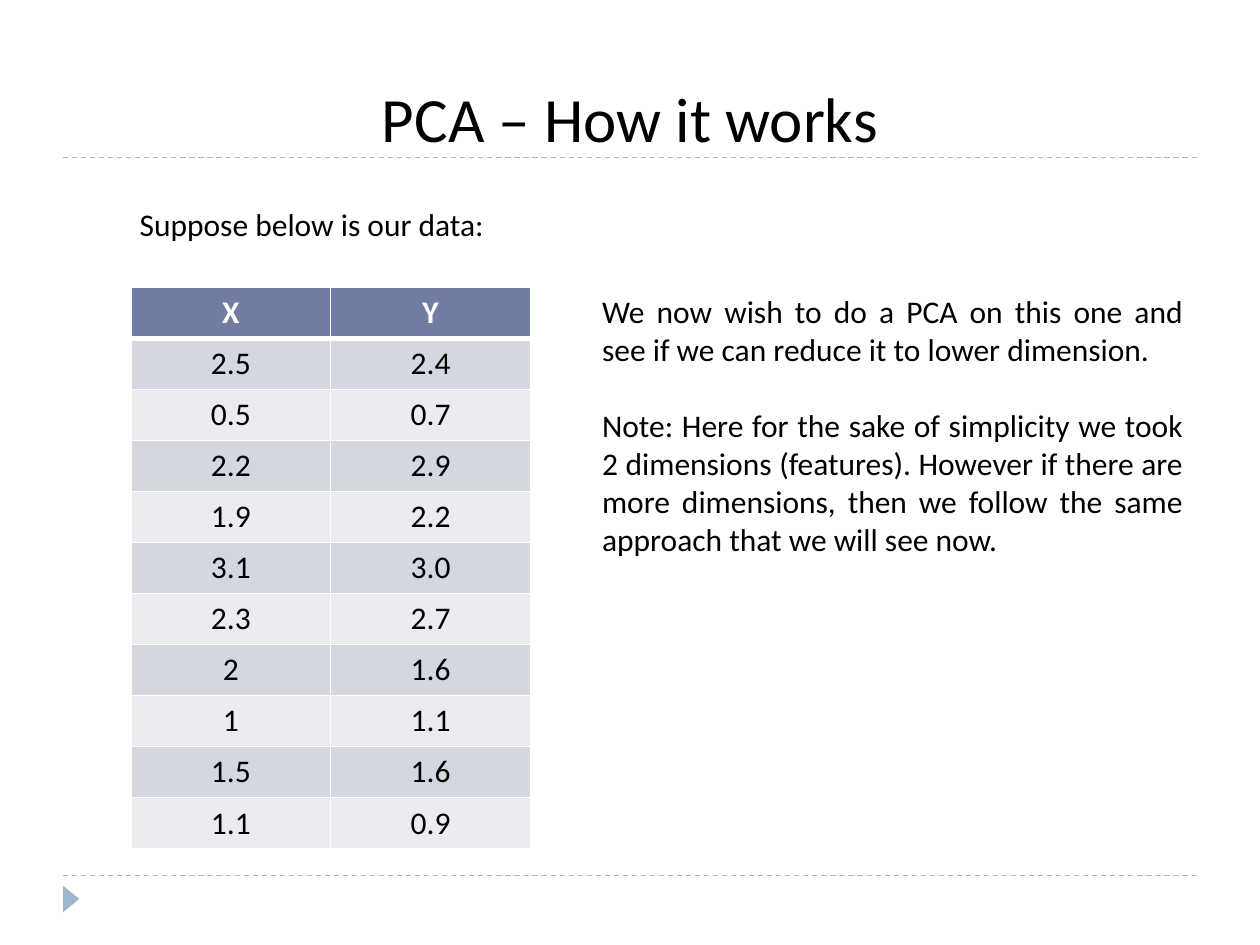
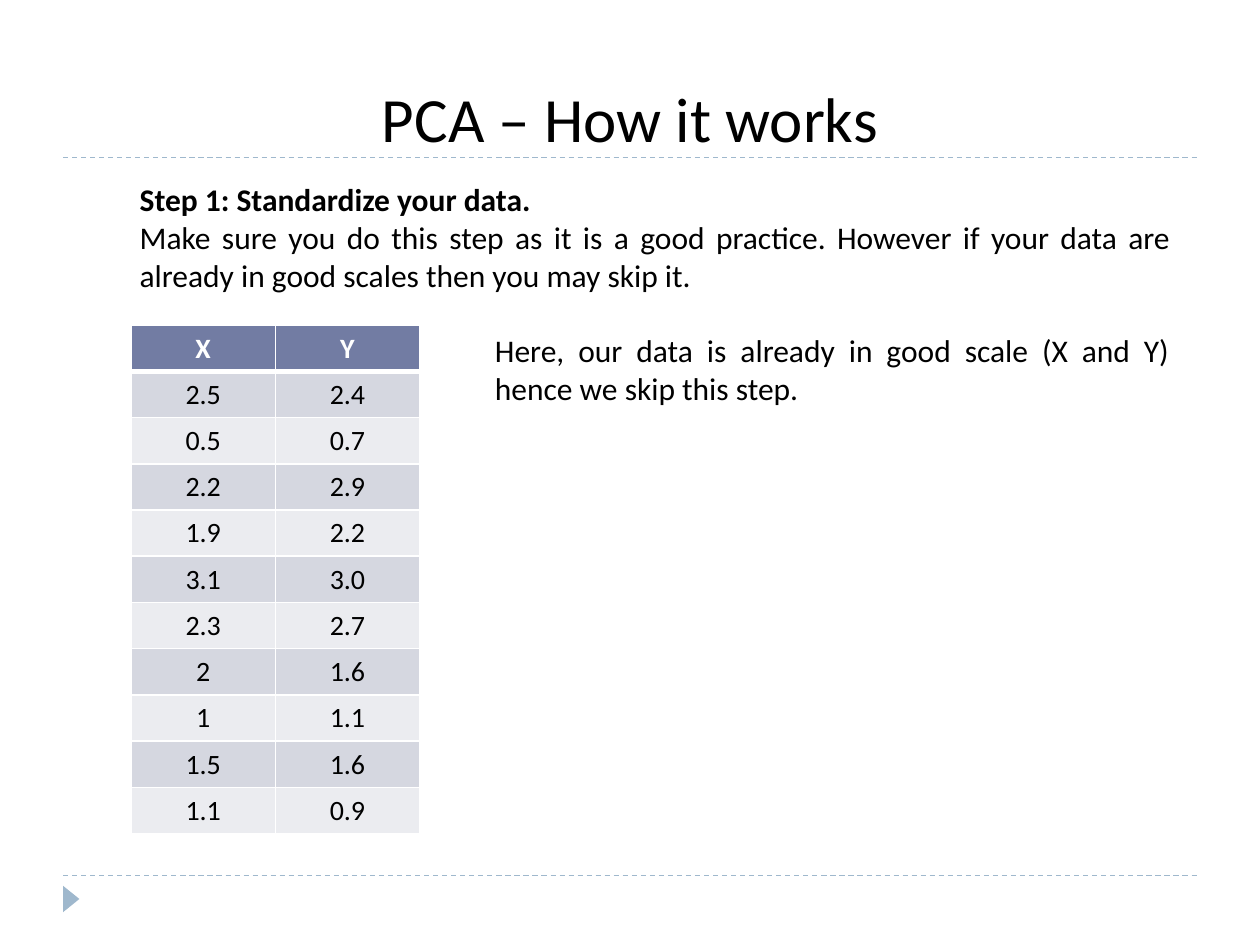
"""Build two slides that introduce PCA with a small data table."""
from dataclasses import dataclass

from lxml import etree
from pptx import Presentation
from pptx.dml.color import RGBColor
from pptx.enum.dml import MSO_LINE
from pptx.enum.shapes import MSO_CONNECTOR, MSO_SHAPE
from pptx.enum.text import MSO_ANCHOR, MSO_AUTO_SIZE, PP_ALIGN
from pptx.oxml.ns import qn
from pptx.slide import Slide
from pptx.util import Inches, Pt

STRAIGHT = MSO_CONNECTOR.STRAIGHT
TRIANGLE = MSO_SHAPE.ISOSCELES_TRIANGLE
DASH = MSO_LINE.DASH
TOP = MSO_ANCHOR.TOP
FIT_SHAPE = MSO_AUTO_SIZE.SHAPE_TO_FIT_TEXT
CENTER = PP_ALIGN.CENTER
JUSTIFY = PP_ALIGN.JUSTIFY

FONT = "Calibri"
BLACK, WHITE = "000000", "FFFFFF"
ACCENT, HEADER = "9FB8CD", "727CA3"
BANDS = ("D5D7E0", "EBECF0")
BODY_SIZE = 18
TITLE = "PCA – How it works"
RULES = (6.95, 1.25)
ROWS = (
    ("X", "Y"),
    ("2.5", "2.4"),
    ("0.5", "0.7"),
    ("2.2", "2.9"),
    ("1.9", "2.2"),
    ("3.1", "3.0"),
    ("2.3", "2.7"),
    ("2", "1.6"),
    ("1", "1.1"),
    ("1.5", "1.6"),
    ("1.1", "0.9"),
)


@dataclass
class Box:
    left: float
    top: float
    width: float
    height: float

    def emu(self) -> tuple:
        return tuple(Inches(v) for v in (self.left, self.top, self.width, self.height))


@dataclass
class Note:
    box: Box
    paragraphs: tuple[str, ...]
    bold_first: bool = False
    gap: float = 0


@dataclass
class DataTable:
    box: Box
    size: int


@dataclass
class Page:
    intro: Note
    table: DataTable
    remark: Note


PAGES = (
    Page(
        Note(Box(1.01, 1.58, 8.38, 0.4), ("Suppose below is our data:",)),
        DataTable(Box(1.04, 2.28, 3.17, 4.46), 18),
        Note(
            Box(4.68, 2.27, 4.81, 2.22),
            (
                "We now wish to do a PCA on this one and see if we can reduce it "
                "to lower dimension.",
                "Note: Here for the sake of simplicity we took 2 dimensions (features). "
                "However if there are more dimensions, then we follow the same approach "
                "that we will see now.",
            ),
            gap=22,
        ),
    ),
    Page(
        Note(
            Box(1.01, 1.38, 8.38, 1.01),
            (
                "Step 1: Standardize your data. ",
                "Make sure you do this step as it is a good practice. However if your "
                "data are already in good scales then you may skip it.",
            ),
            bold_first=True,
        ),
        DataTable(Box(1.04, 2.58, 2.29, 4.03), 16),
        Note(
            Box(3.83, 2.58, 5.55, 0.71),
            ("Here, our data is already in good scale (X and Y) hence we skip this step.",),
        ),
    ),
)


def rgb(color: str) -> RGBColor:
    return RGBColor.from_string(color)


def style(p, size: float, color: str = BLACK, bold: bool = False, align=CENTER) -> None:
    p.alignment = align
    p.font.name = FONT
    p.font.size = Pt(size)
    p.font.bold = bold
    p.font.color.rgb = rgb(color)


def add_frame(slide: Slide) -> None:
    for y in RULES:
        line = slide.shapes.add_connector(
            STRAIGHT, Inches(0.5), Inches(y), Inches(9.5), Inches(y)
        )
        line.line.color.rgb = rgb(ACCENT)
        line.line.width = Pt(0.75)
        line.line.dash_style = DASH
        etree.SubElement(line._element.spPr, qn("a:effectLst"))
    sp = slide.shapes.add_shape(TRIANGLE, *Box(0.46, 7.07, 0.21, 0.13).emu())
    sp.rotation = 90
    sp.shadow.inherit = False
    sp.fill.solid()
    sp.fill.fore_color.rgb = rgb(ACCENT)
    sp.line.fill.background()


def set_title(slide: Slide) -> None:
    sp = slide.shapes.title
    sp.left, sp.top, sp.width, sp.height = Box(2.91, 0.58, 4.18, 0.71).emu()
    tf = sp.text_frame
    tf.text = TITLE
    tf.word_wrap = False
    tf.auto_size = FIT_SHAPE
    tf.vertical_anchor = TOP
    style(tf.paragraphs[0], 36)


def add_note(slide: Slide, note: Note) -> None:
    tf = slide.shapes.add_textbox(*note.box.emu()).text_frame
    tf.word_wrap = True
    tf.auto_size = FIT_SHAPE
    for i, text in enumerate(note.paragraphs):
        p = tf.paragraphs[0] if i == 0 else tf.add_paragraph()
        p.text = text
        style(p, BODY_SIZE, bold=note.bold_first and i == 0, align=JUSTIFY)
        if i:
            p.space_before = Pt(note.gap)


def set_borders(cell, top: float, bottom: float) -> None:
    tc_pr = cell._tc.get_or_add_tcPr()
    for side, width in (("L", 1), ("R", 1), ("T", top), ("B", bottom)):
        ln = etree.SubElement(tc_pr, qn(f"a:ln{side}"), w=str(Pt(width)))
        fill = etree.SubElement(ln, qn("a:solidFill"))
        etree.SubElement(fill, qn("a:srgbClr"), val=WHITE)


def add_data_table(slide: Slide, data: DataTable) -> None:
    table = slide.shapes.add_table(len(ROWS), len(ROWS[0]), *data.box.emu()).table
    table.first_row = table.horz_banding = False
    for i, row in enumerate(ROWS):
        is_header = i == 0
        for j, text in enumerate(row):
            cell = table.cell(i, j)
            set_borders(cell, 3 if i == 1 else 1, 3 if is_header else 1)
            cell.fill.solid()
            cell.fill.fore_color.rgb = rgb(HEADER if is_header else BANDS[(i - 1) % 2])
            cell.text = text
            p = cell.text_frame.paragraphs[0]
            style(p, data.size, WHITE if is_header else BLACK, is_header)


def main() -> None:
    prs = Presentation()
    prs.slide_width, prs.slide_height = Inches(10), Inches(7.5)
    for page in PAGES:
        slide = prs.slides.add_slide(prs.slide_layouts[5])
        add_frame(slide)
        set_title(slide)
        add_note(slide, page.intro)
        add_data_table(slide, page.table)
        add_note(slide, page.remark)
    prs.save("out.pptx")


main()
